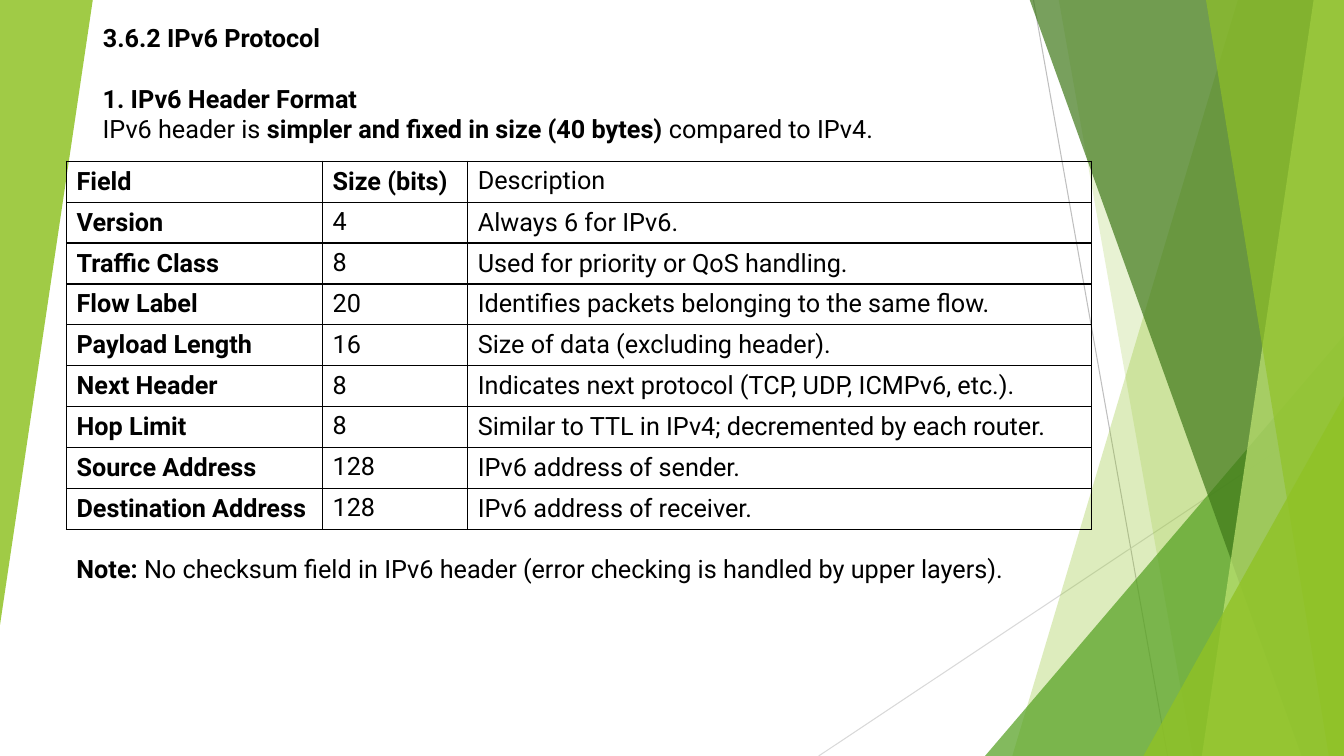
from pptx import Presentation
from pptx.dml.color import RGBColor
from pptx.enum.shapes import MSO_CONNECTOR, MSO_SHAPE
from pptx.enum.text import MSO_ANCHOR, PP_ALIGN
from pptx.oxml import parse_xml
from pptx.oxml.ns import nsdecls
from pptx.util import Inches, Pt
from lxml import etree

LINE = MSO_CONNECTOR.STRAIGHT
TRIANGLE = MSO_SHAPE.ISOSCELES_TRIANGLE
TOP, MIDDLE = MSO_ANCHOR.TOP, MSO_ANCHOR.MIDDLE
LEFT = PP_ALIGN.LEFT
WIDE, HIGH = 13.33, 7.5


def paint(shape, color, alpha):
    """Fill a shape with a see-through colour (alpha in percent), no line."""
    shape.shadow.inherit = False
    shape.line.fill.background()
    shape.fill.solid()
    shape.fill.fore_color.rgb = RGBColor.from_string(color)
    tone = shape.fill._xPr.find(".//{*}srgbClr")
    etree.SubElement(tone, tone.tag.replace("srgbClr", "alpha"), val=str(alpha * 1000))


def write(para, *parts):
    """Add (text, bold) runs to a paragraph."""
    para.alignment = LEFT
    para.line_spacing = 1.0
    para.space_before = Pt(0)
    for text, bold in parts:
        run = para.add_run()
        run.text = text
        run.font.name = "Roboto"
        run.font.size = Pt(18)
        run.font.bold = bold
        run.font.color.rgb = RGBColor.from_string("000000")


prs = Presentation()
prs.slide_width, prs.slide_height = Inches(WIDE), Inches(HIGH)
slide = prs.slides.add_slide(prs.slide_layouts[5])
shapes = slide.shapes

# Background lines
for ends, color in [((10.25, 0, 11.58, HIGH), "BFBFBF"),
                    ((WIDE, 4.03, 8.12, HIGH), "D9D9D9")]:
    line = shapes.add_connector(LINE, *[Inches(v) for v in ends])
    line.line.width = Pt(0.75)
    line.line.color.rgb = RGBColor.from_string(color)
    etree.SubElement(line._element.spPr, "{http://schemas.openxmlformats.org/drawingml/2006/main}effectLst")

# Background facets: bands run from a top x to a bottom x and on to the right edge
facets = [
    ("band", (12.28, 10.04), "90C226", 30),
    ("band", (10.5, 11.83), "90C226", 20),
    ("wedge", (9.77, 3.33, 3.56, 4.17, 0), "54A021", 72),
    ("band", (10.21, 12.91), "3F7819", 70),
    ("band", (13.03, 11.92), "C0E474", 70),
    ("band", (11.96, 13.18), "90C226", 65),
    ("wedge", (11.34, 3.93, 1.99, 3.57, 0), "90C226", 80),
    ("wedge", (0, 0, 0.92, 6.2, 180), "90C226", 85),
]
for kind, place, color, alpha in facets:
    if kind == "band":
        head, foot = place
        pen = shapes.build_freeform(Inches(head), Inches(-0.01))
        pen.add_line_segments([(Inches(x), Inches(y)) for x, y in
                               [(WIDE, -0.01), (WIDE, HIGH), (foot, HIGH)]])
        facet = pen.convert_to_shape()
    else:
        *box, turn = place
        facet = shapes.add_shape(TRIANGLE, *[Inches(v) for v in box])
        facet.adjustments[0] = 1
        facet.rotation = turn
    paint(facet, color, alpha)

# Title and text
title = shapes.title
title.left, title.top = Inches(0.92), Inches(0.17)
title.width, title.height = Inches(9.44), Inches(0.4)
title.text_frame.vertical_anchor = TOP
title.text_frame.word_wrap = True
write(title.text_frame.paragraphs[0], ("3.6.2 IPv6 Protocol", True))

texts = [
    ((0.92, 0.78, 9.44, 0.7), [
        [("1. IPv6 Header Format", True)],
        [("IPv6 header is ", False), ("simpler and fixed in size (40 bytes)", True),
         (" compared to IPv4.", False)]]),
    ((0.66, 5.44, 10.25, 0.4), [
        [("Note:", True),
         (" No checksum field in IPv6 header (error checking is handled by upper layers).", False)]]),
]
for box, paras in texts:
    frame = shapes.add_textbox(*[Inches(v) for v in box]).text_frame
    frame.word_wrap = True
    for i, parts in enumerate(paras):
        write(frame.add_paragraph() if i else frame.paragraphs[0], *parts)

# Header field table
rows = [
    ("Field", "Size (bits)", "Description"),
    ("Version", "4", "Always 6 for IPv6."),
    ("Traffic Class", "8", "Used for priority or QoS handling."),
    ("Flow Label", "20", "Identifies packets belonging to the same flow."),
    ("Payload Length", "16", "Size of data (excluding header)."),
    ("Next Header", "8", "Indicates next protocol (TCP, UDP, ICMPv6, etc.)."),
    ("Hop Limit", "8", "Similar to TTL in IPv4; decremented by each router."),
    ("Source Address", "128", "IPv6 address of sender."),
    ("Destination Address", "128", "IPv6 address of receiver."),
]
table = shapes.add_table(len(rows), 3, Inches(0.66), Inches(1.6),
                         Inches(10.17), Inches(3.65)).table
table.first_row = table.horz_banding = False
for col, width in zip(table.columns, (2.54, 1.44, 6.19)):
    col.width = Inches(width)
for r, row in enumerate(rows):
    for c, text in enumerate(row):
        cell = table.cell(r, c)
        high = c == (1 if r else 2)
        cell.vertical_anchor = TOP if high else MIDDLE
        write(cell.text_frame.paragraphs[0], (text, c == 0 or (r == 0 and c == 1)))
        props = cell._tc.get_or_add_tcPr()
        for side in "LRTB":
            props.append(parse_xml(
                f'<a:ln{side} {nsdecls("a")} w="12700"><a:solidFill>'
                f'<a:srgbClr val="000000"/></a:solidFill></a:ln{side}>'))
        cell.fill.background()

prs.save("out.pptx")
